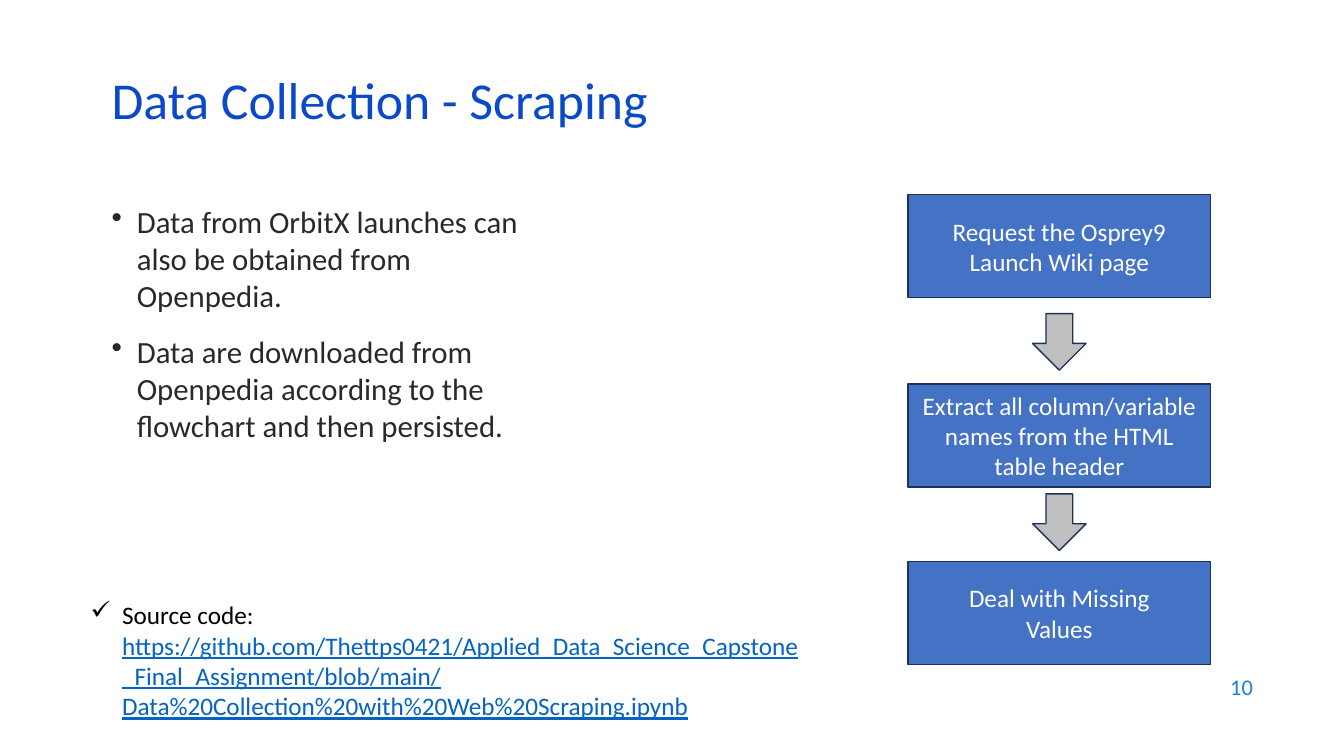
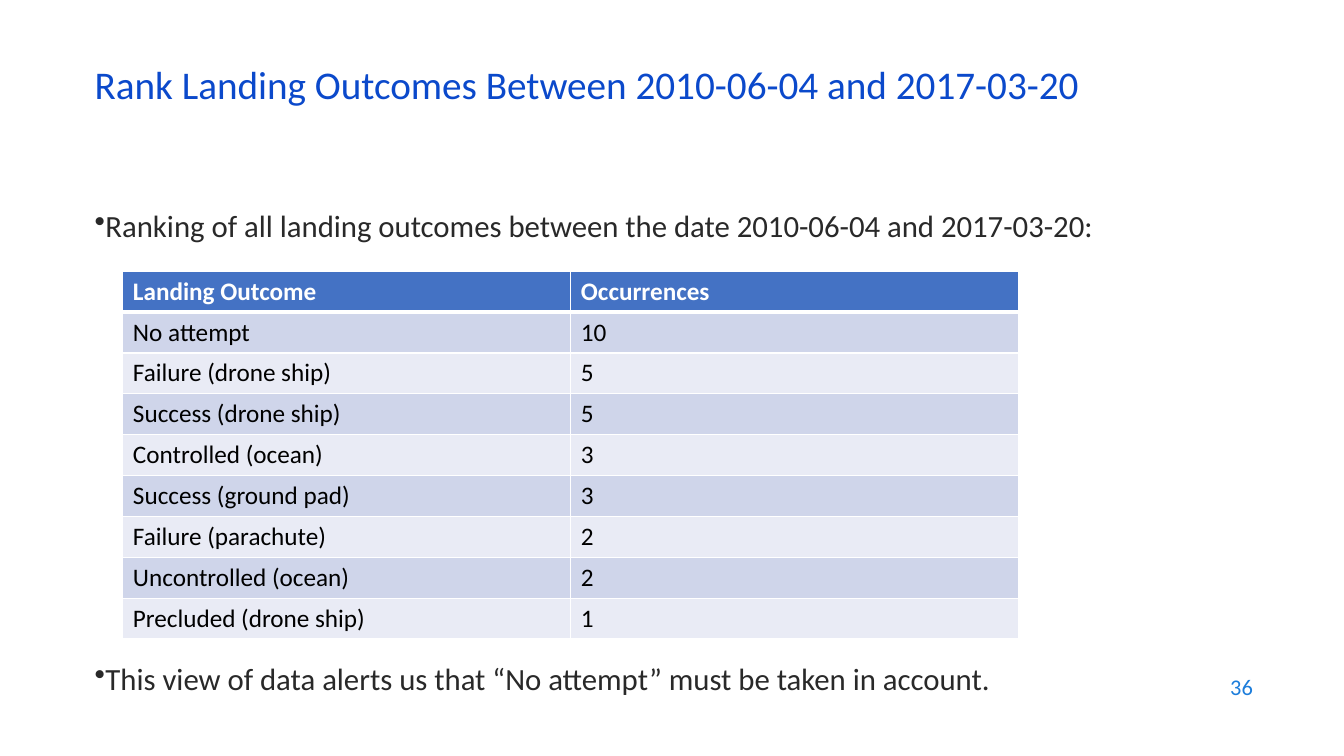
from dataclasses import dataclass
from lxml import etree
from pptx import Presentation
from pptx import util as u
from pptx.dml.color import RGBColor
from pptx.enum import shapes, text
from pptx.oxml.ns import qn


@dataclass(frozen=True)
class Theme:
    font: str = "Calibri"
    title: str = "0B49CB"
    body: str = "292929"
    page: str = "1C7DDB"
    black: str = "000000"
    white: str = "FFFFFF"
    link: str = "0563C1"
    blue: str = "4472C4"
    edge: str = "1E3256"
    arrow: str = "BFBFBF"
    bands: tuple[str, str] = ("CFD5EA", "E9EBF5")
    large: float = 37
    mid: float = 28
    text: float = 22
    small: float = 18
    num: float = 16


@dataclass(frozen=True)
class Box:
    x: float
    y: float
    w: float
    h: float

    def pts(self) -> list:
        return [u.Pt(v) for v in (self.x, self.y, self.w, self.h)]


@dataclass(frozen=True)
class Run:
    text: str
    size: float
    color: str
    bold: bool = False
    line: bool = False


@dataclass(frozen=True)
class Para:
    runs: tuple[Run, ...]
    align: text.PP_ALIGN = text.PP_ALIGN.LEFT
    mark: str = ""
    hang: float = 0
    gap: float = 0
    lead: float = 1


T = Theme()
MID = text.MSO_ANCHOR.MIDDLE
TOP = text.MSO_ANCHOR.TOP


# Text
def rgb(code: str) -> RGBColor:
    return RGBColor.from_string(code)


def write(frame, paras: list[Para], anchor=TOP) -> None:
    frame.word_wrap = True
    frame.vertical_anchor = anchor
    for i, item in enumerate(paras):
        par = frame.add_paragraph() if i else frame.paragraphs[0]
        par.alignment = item.align
        par.line_spacing = item.lead
        if i and item.gap:
            par.space_before = u.Pt(item.gap)
        if item.mark:
            props = par._p.get_or_add_pPr()
            props.set("marL", str(u.Pt(item.hang)))
            props.set("indent", str(-u.Pt(item.hang)))
            etree.SubElement(props, qn("a:buChar")).set("char", item.mark)
        for part in item.runs:
            run = par.add_run()
            run.text = part.text
            font = run.font
            font.name, font.size = T.font, u.Pt(part.size)
            font.bold, font.underline = part.bold, part.line
            font.color.rgb = rgb(part.color)


def label(slide, box: Box, paras: list[Para], anchor=TOP) -> None:
    write(slide.shapes.add_textbox(*box.pts()).text_frame, paras, anchor)


def point(words: str, hang: float = 0) -> Para:
    return Para((Run(words, T.text, T.body),), mark="•", hang=hang, gap=14)


# Shared title and page number
def page(deck, title: str, size: float, x: float, y: float, num: int):
    slide = deck.slides.add_slide(deck.slide_layouts[6])
    label(slide, Box(686, 474.5, 216, 31.5),
          [Para((Run(str(num), T.num, T.page),), text.PP_ALIGN.RIGHT)], MID)
    label(slide, Box(x, y, 828, 43.2),
          [Para((Run(title, size, T.title),), lead=0.7)], MID)
    return slide


# Flow chart parts
def block(slide, kind: shapes.MSO_SHAPE, box: Box, fill: str, lines: tuple[str, ...] = ()) -> None:
    shape = slide.shapes.add_shape(kind, *box.pts())
    shape.shadow.inherit = False
    shape.fill.solid()
    shape.fill.fore_color.rgb = rgb(fill)
    shape.line.color.rgb = rgb(T.edge)
    shape.line.width = u.Pt(1)
    write(shape.text_frame,
          [Para((Run(s, T.small, T.white),), text.PP_ALIGN.CENTER) for s in lines], MID)


# Table parts
def border(cell, top: float, base: float) -> None:
    props = cell._tc.get_or_add_tcPr()
    for side, width in (("L", 1), ("R", 1), ("T", top), ("B", base)):
        line = etree.SubElement(props, qn("a:ln" + side), w=str(u.Pt(width)))
        fill = etree.SubElement(line, qn("a:solidFill"))
        etree.SubElement(fill, qn("a:srgbClr"), val=T.white)


def grid(slide, box: Box, rows: list[tuple[str, str]]) -> None:
    table = slide.shapes.add_table(len(rows), len(rows[0]), *box.pts()).table
    for r, row in enumerate(rows):
        table.rows[r].height = u.Pt(box.h / len(rows))
        head = r == 0
        for c, words in enumerate(row):
            cell = table.cell(r, c)
            border(cell, 3 if r == 1 else 1, 3 if head else 1)
            cell.fill.solid()
            cell.fill.fore_color.rgb = rgb(T.blue if head else T.bands[(r - 1) % 2])
            ink = T.white if head else T.black
            write(cell.text_frame, [Para((Run(words, T.small, ink, bold=head),))])


# Slide: scraping
def scrape(deck) -> None:
    slide = page(deck, "Data Collection - Scraping", T.large, 72.7, 54.7, 10)
    label(slide, Box(72.7, 141, 309.6, 188.6), [
        point("Data from OrbitX launches can also be obtained from Openpedia.", 18),
        point("Data are downloaded from Openpedia according to the flowchart and then persisted.", 18),
    ])
    steps = (
        (139, ("Request the Osprey9", "Launch Wiki page")),
        (274.4, ("Extract all column/variable", "names from the HTML", "table header")),
        (401, ("Deal with Missing", "Values")),
    )
    for y, lines in steps:
        block(slide, shapes.MSO_SHAPE.RECTANGLE, Box(648.7, y, 216, 73.5), T.blue, lines)
    for y in (224, 352.8):
        block(slide, shapes.MSO_SHAPE.DOWN_ARROW, Box(737.6, y, 38.2, 40.4), T.arrow)
    url = ("https://github.com/Thettps0421/Applied_Data_Science_Capstone_Final_Assignment"
           "/blob/main/Data%20Collection%20with%20Web%20Scraping.ipynb")
    label(slide, Box(57.6, 424.8, 526.3, 94.3), [
        Para((Run("Source code: ", T.small, T.black),
              Run(url, T.small, T.link, line=True)), mark="✓", hang=22.5)])


# Slide: ranking
def rank(deck) -> None:
    slide = page(deck, "Rank Landing Outcomes Between 2010-06-04 and 2017-03-20",
                 T.mid, 60.5, 42.5, 36)
    notes = (
        (144, "Ranking of all landing outcomes between the date 2010-06-04 and 2017-03-20:"),
        (467.5, "This view of data alerts us that “No attempt” must be taken in account."),
    )
    for y, words in notes:
        label(slide, Box(60.5, y, 820, 34), [point(words)])
    grid(slide, Box(87.8, 193.7, 640, 262.8), [
        ("Landing Outcome", "Occurrences"),
        ("No attempt", "10"),
        ("Failure (drone ship)", "5"),
        ("Success (drone ship)", "5"),
        ("Controlled (ocean)", "3"),
        ("Success (ground pad)", "3"),
        ("Failure (parachute)", "2"),
        ("Uncontrolled (ocean)", "2"),
        ("Precluded (drone ship)", "1"),
    ])


def main() -> None:
    deck = Presentation()
    deck.slide_width, deck.slide_height = u.Pt(960), u.Pt(540)
    scrape(deck)
    rank(deck)
    deck.save("out.pptx")


if __name__ == "__main__":
    main()
